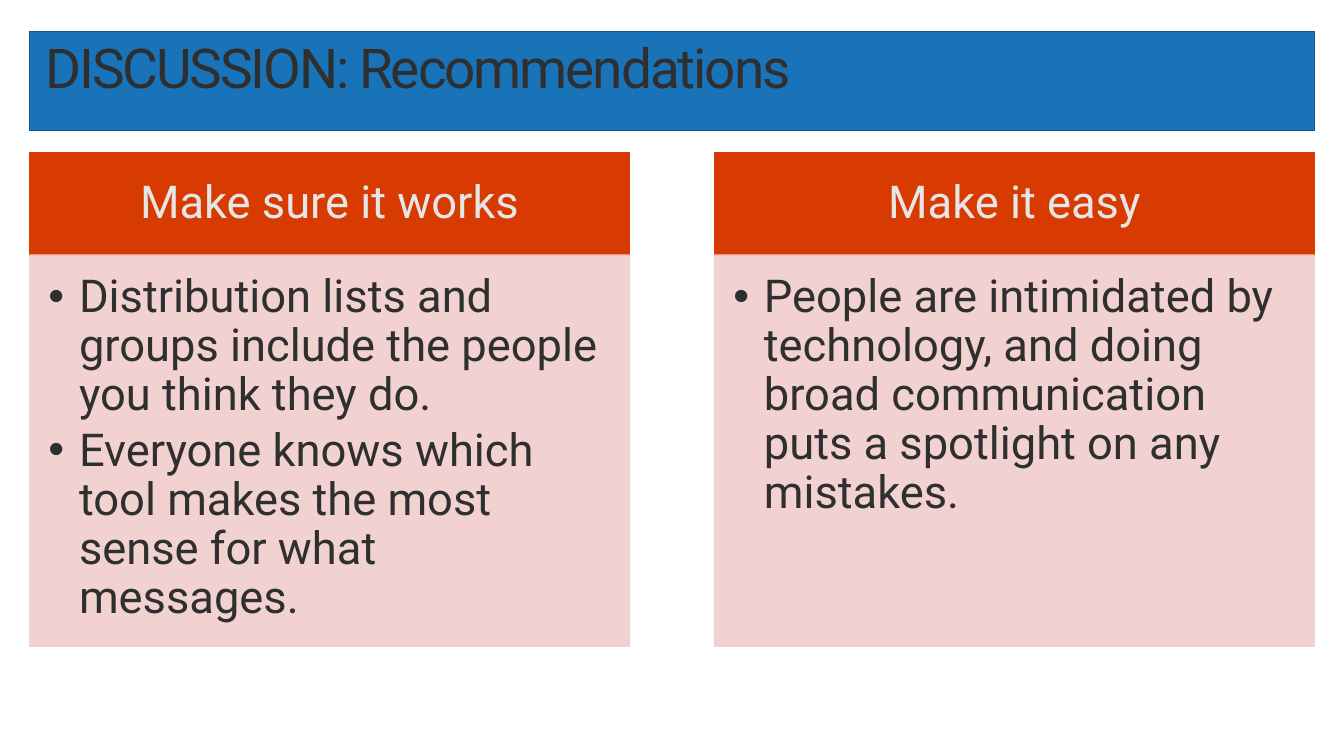
from dataclasses import dataclass

from lxml.etree import SubElement
from pptx import Presentation
from pptx.dml.color import RGBColor
from pptx.enum.text import MSO_ANCHOR as Anchor, MSO_AUTO_SIZE as AutoSize, PP_ALIGN as Align
from pptx.oxml.ns import qn
from pptx.shapes.placeholder import SlidePlaceholder
from pptx.util import Inches, Pt


@dataclass(frozen=True)
class Theme:
    font: str = "Roboto"
    title_size: float = 40
    text_size: float = 33
    line_width: float = 0.85
    line_spacing: float = 0.9
    blue: str = "1973B9"
    blue_edge: str = "125589"
    orange: str = "D83B01"
    pink: str = "F0CECC"
    dark: str = "2F2F2F"
    light: str = "E6E6E6"


@dataclass(frozen=True)
class Box:
    left: float
    top: float
    width: float
    height: float
    insets: tuple[float, float, float, float]
    fill: str
    edge: str
    text_color: str
    size: float
    anchor: Anchor = Anchor.TOP
    align: Align = Align.LEFT
    space_after: float = 0
    opacity: int = 100
    bulleted: bool = False
    tracking: float = 0


@dataclass(frozen=True)
class Column:
    heading: str
    points: tuple[str, ...]


THEME = Theme()
COMPARISON_LAYOUT = 4
MARGIN, COLUMN_PITCH, COLUMN_WIDTH = 0.3, 6.93, 6.07
HEADING_TOP, HEADING_HEIGHT, LIST_HEIGHT = 1.54, 1.04, 3.96
BULLET_INDENT = 0.31

TITLE = "DISCUSSION: Recommendations"
COLUMNS = (
    Column("Make sure it works", (
        "Distribution lists and groups include the people you think they do.",
        "Everyone knows which tool makes the most sense for what messages.",
    )),
    Column("Make it easy", (
        "People are intimidated by technology, and doing broad communication "
        "puts a spotlight on any mistakes.",
    )),
)


def set_opacity(shape: SlidePlaceholder, percent: int) -> None:
    for color in shape._element.spPr.iter(qn("a:srgbClr")):
        SubElement(color, qn("a:alpha"), val=str(percent * 1000))


def write_paragraphs(shape: SlidePlaceholder, box: Box, texts: tuple[str, ...]) -> None:
    frame = shape.text_frame
    for index, text in enumerate(texts):
        paragraph = frame.add_paragraph() if index else frame.paragraphs[0]
        properties = paragraph._p.get_or_add_pPr()
        indent = Inches(BULLET_INDENT) if box.bulleted else 0
        properties.set("marL", str(indent))
        properties.set("indent", str(-indent))
        if box.bulleted:
            SubElement(properties, qn("a:buChar"), char="•")
        else:
            SubElement(properties, qn("a:buNone"))
        paragraph.alignment = box.align
        paragraph.line_spacing = THEME.line_spacing
        paragraph.space_before = Pt(0)
        paragraph.space_after = Pt(box.space_after)
        run = paragraph.add_run()
        run.text = text
        run.font.name = THEME.font
        run.font.size = Pt(box.size)
        run.font.bold = False
        run.font.color.rgb = RGBColor.from_string(box.text_color)
        if box.tracking:
            run.font._element.set("spc", str(round(box.tracking * 100)))


def fill_placeholder(shape: SlidePlaceholder, box: Box, texts: tuple[str, ...]) -> None:
    shape.left, shape.top = Inches(box.left), Inches(box.top)
    shape.width, shape.height = Inches(box.width), Inches(box.height)
    shape.fill.solid()
    shape.fill.fore_color.rgb = RGBColor.from_string(box.fill)
    shape.line.color.rgb = RGBColor.from_string(box.edge)
    shape.line.width = Pt(THEME.line_width)
    if box.opacity < 100:
        set_opacity(shape, box.opacity)
    frame = shape.text_frame
    frame.word_wrap = True
    frame.auto_size = AutoSize.NONE
    frame.vertical_anchor = box.anchor
    (frame.margin_left, frame.margin_top,
     frame.margin_right, frame.margin_bottom) = map(Inches, box.insets)
    write_paragraphs(shape, box, texts)


def heading_box(left: float) -> Box:
    return Box(left, HEADING_TOP, COLUMN_WIDTH, HEADING_HEIGHT, (0.26, 0.15, 0.26, 0.15),
               THEME.orange, THEME.orange, THEME.light, THEME.text_size,
               anchor=Anchor.MIDDLE, align=Align.CENTER)


def list_box(left: float) -> Box:
    return Box(left, HEADING_TOP + HEADING_HEIGHT, COLUMN_WIDTH, LIST_HEIGHT,
               (0.19, 0.19, 0.26, 0.29), THEME.pink, THEME.pink, THEME.dark,
               THEME.text_size, space_after=5, opacity=90, bulleted=True)


def main() -> None:
    presentation = Presentation()
    presentation.slide_width, presentation.slide_height = Inches(13.6), Inches(7.65)
    slide = presentation.slides.add_slide(presentation.slide_layouts[COMPARISON_LAYOUT])
    title, *column_shapes = slide.placeholders

    title_box = Box(MARGIN, 0.32, 13, 1, (0.16, 0.1, 0.16, 0.1), THEME.blue,
                    THEME.blue_edge, THEME.dark, THEME.title_size,
                    space_after=6, tracking=-1.5)
    fill_placeholder(title, title_box, (TITLE,))

    pairs = zip(column_shapes[::2], column_shapes[1::2])
    for index, (column, (heading, points)) in enumerate(zip(COLUMNS, pairs)):
        left = MARGIN + index * COLUMN_PITCH
        fill_placeholder(heading, heading_box(left), (column.heading,))
        fill_placeholder(points, list_box(left), column.points)

    presentation.save("out.pptx")


if __name__ == "__main__":
    main()
